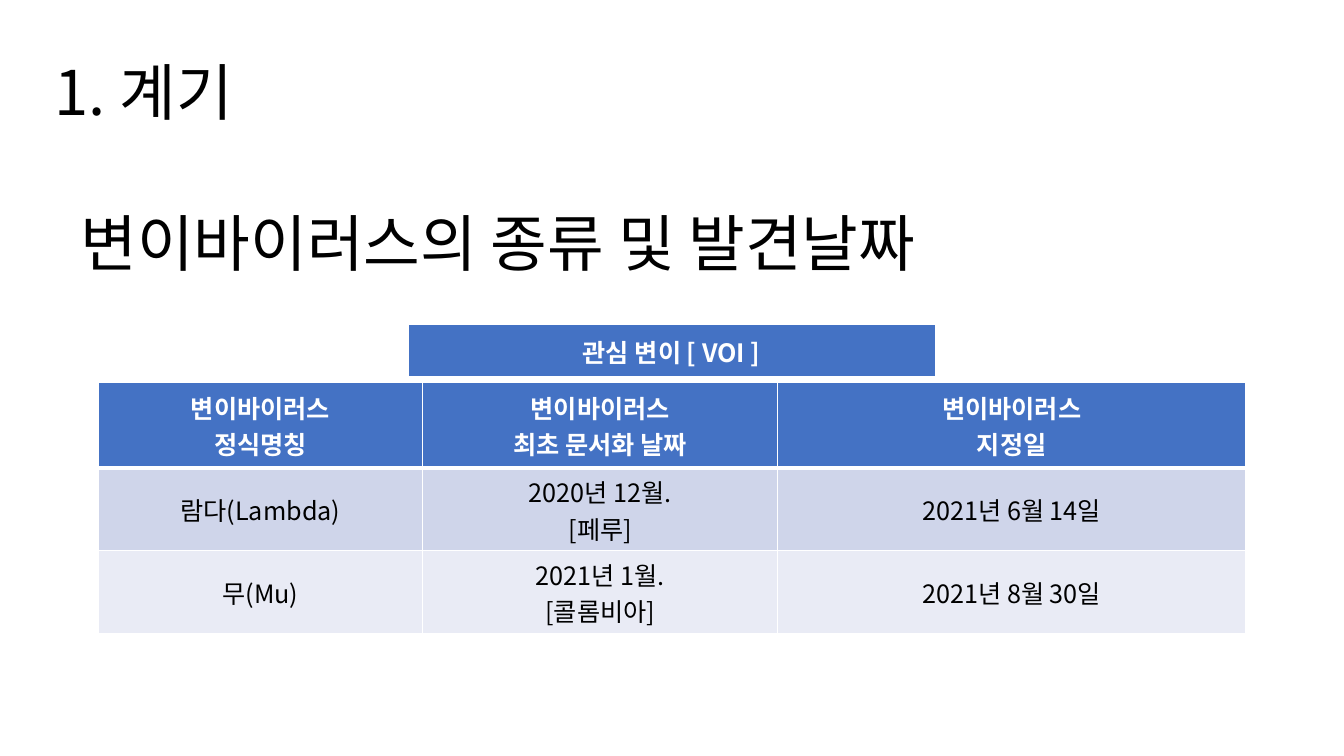
from lxml.etree import SubElement
from pptx import Presentation
from pptx.dml.color import RGBColor
from pptx.enum.text import MSO_ANCHOR, PP_ALIGN
from pptx.oxml import parse_xml
from pptx.oxml.ns import nsdecls, qn
from pptx.util import Pt

FONT = "Noto Sans CJK KR"
BLACK, WHITE, BLUE = "000000", "FFFFFF", "4472C4"
ROW_FILLS = ["CFD5EA", "E9EBF5"]
HEADING = {"size": Pt(44), "bold": False}
HEADER_TEXT = {"size": Pt(18), "bold": True}
BODY_TEXT = {"size": Pt(18), "bold": False}

VARIANTS = [
    ["변이바이러스\n정식명칭", "변이바이러스\n최초 문서화 날짜", "변이바이러스\n지정일"],
    ["람다(Lambda)", "2020년 12월.\n[페루]", "2021년 6월 14일"],
    ["무(Mu)", "2021년 1월.\n[콜롬비아]", "2021년 8월 30일"],
]


def rgb(hex_code):
    return RGBColor.from_string(hex_code)


def write(frame, text, font_format, color, align, line_spacing=1.0):
    """Fill a text frame with one paragraph per line."""
    frame.text = text
    for paragraph in frame.paragraphs:
        paragraph.alignment = align
        paragraph.line_spacing = line_spacing
        for run in paragraph.runs:
            for name, value in font_format.items():
                setattr(run.font, name, value)
            run.font.color.rgb = rgb(color)
            run.font.name = FONT
            # Hangul takes its typeface from the East Asian slot
            SubElement(run.font._element, qn("a:ea"), typeface=FONT)


def add_heading(slide, box, text, indent, anchor, line_spacing=1.0):
    frame = slide.shapes.add_textbox(*map(Pt, box)).text_frame
    layout = {"word_wrap": True, "margin_left": Pt(indent), "vertical_anchor": anchor}
    for name, value in layout.items():
        setattr(frame, name, value)
    write(frame, text, HEADING, BLACK, PP_ALIGN.LEFT, line_spacing)


def add_borders(cell, top, bottom):
    """White cell edges; they come before the fill in the cell properties."""
    properties = cell._tc.get_or_add_tcPr()
    for index, (side, width) in enumerate(zip("LRTB", (1, 1, top, bottom))):
        properties.insert(index, parse_xml(
            f'<a:ln{side} {nsdecls("a")} w="{Pt(width)}"><a:solidFill>'
            f'<a:srgbClr val="{WHITE}"/></a:solidFill></a:ln{side}>'))


def add_variant_table(slide, box, rows, widths, heights):
    """A blue header row above banded body rows."""
    table = slide.shapes.add_table(len(rows), len(widths), *map(Pt, box)).table
    for column, width in zip(table.columns, widths):
        column.width = Pt(width)
    for row, height in zip(table.rows, heights):
        row.height = Pt(height)
    for r, texts in enumerate(rows):
        is_header = r == 0
        fill = BLUE if is_header else ROW_FILLS[(r - 1) % 2]
        for c, text in enumerate(texts):
            cell = table.cell(r, c)
            cell.vertical_anchor = MSO_ANCHOR.MIDDLE
            cell.fill.solid()
            cell.fill.fore_color.rgb = rgb(fill)
            write(cell.text_frame, text, HEADER_TEXT if is_header else BODY_TEXT,
                  WHITE if is_header else BLACK, PP_ALIGN.CENTER)
            # The thick line under the header is shared with the first body row
            add_borders(cell, 3 if r == 1 else 1, 3 if is_header else 1)


def main():
    deck = Presentation()
    deck.slide_width, deck.slide_height = Pt(960), Pt(540)
    slide = deck.slides.add_slide(deck.slide_layouts[6])

    # Section number and slide title
    add_heading(slide, (0, 124, 828, 104), "변이바이러스의 종류 및 발견날짜",
                57.5, MSO_ANCHOR.MIDDLE, 0.9)
    add_heading(slide, (32, 35, 906, 60.5), "1. 계기", 7.2, MSO_ANCHOR.TOP)

    # Variants of interest with their caption bar
    add_variant_table(slide, (70, 273.5, 820, 179), VARIANTS,
                      (232, 253.5, 334.5), (61, 59, 59))
    add_variant_table(slide, (291.5, 232, 376.5, 38), [["관심 변이 [ VOI ]"]],
                      (376.5,), (38,))

    deck.save("out.pptx")


if __name__ == "__main__":
    main()
